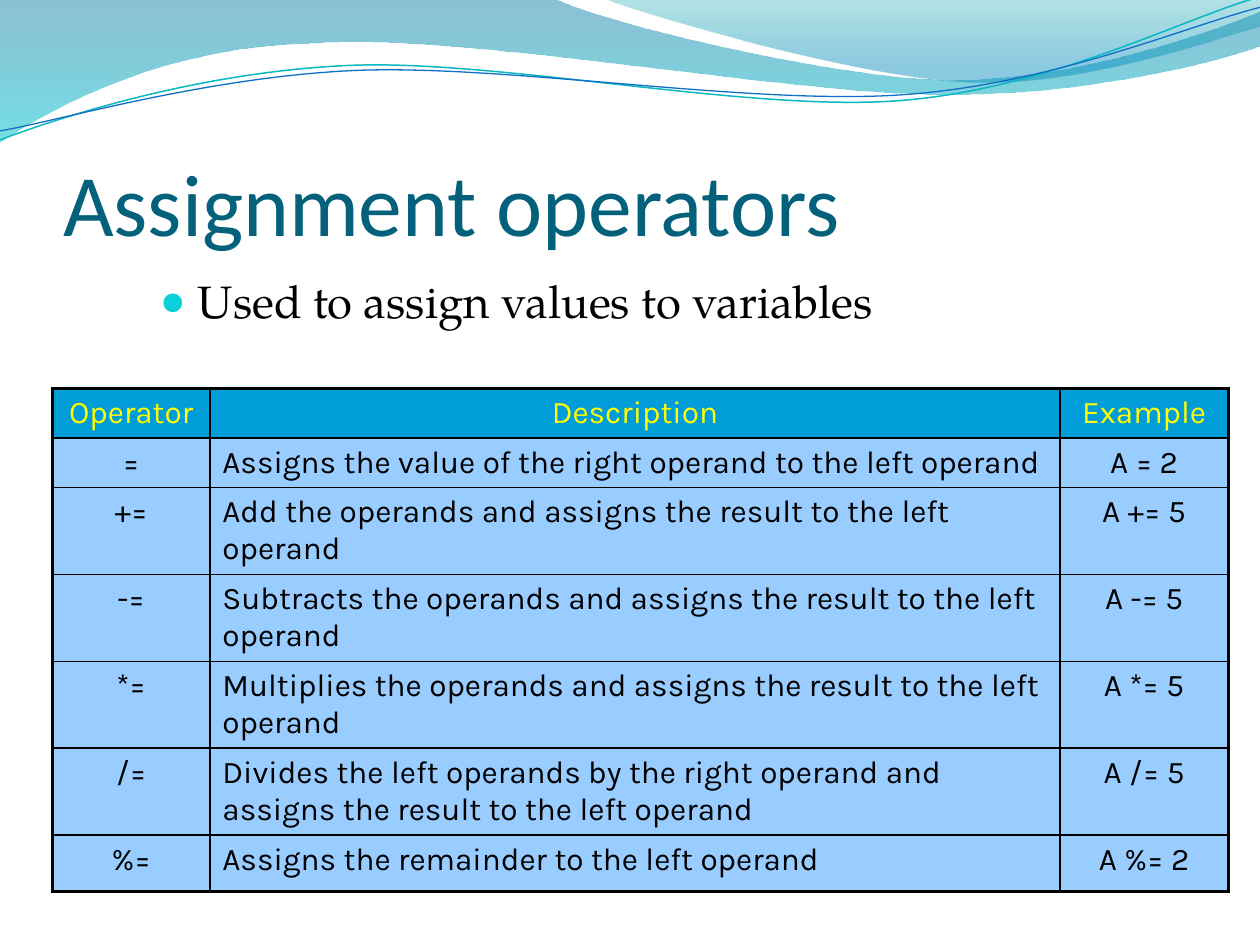
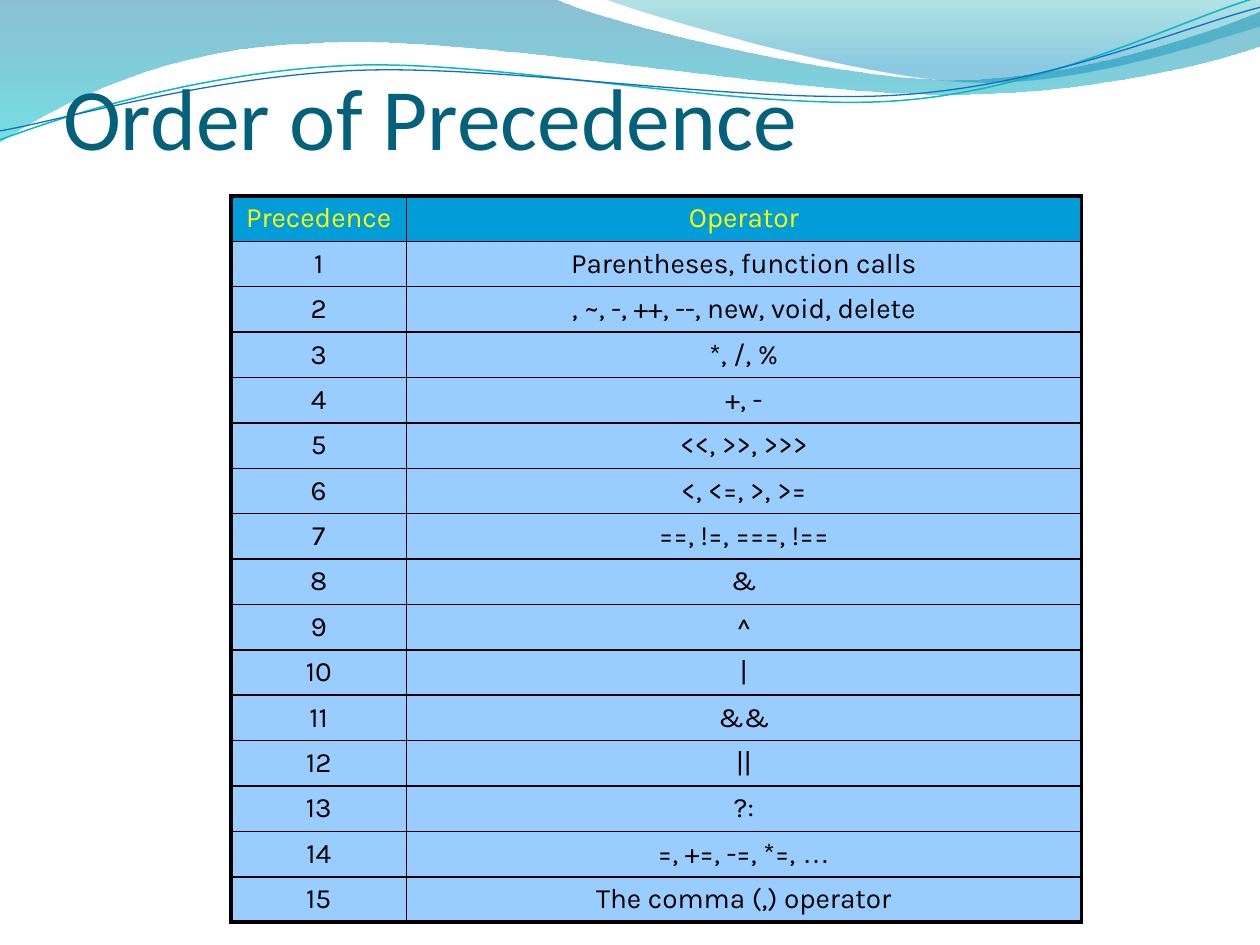
import math

import pptx
import pptx.dml.color
import pptx.enum.text
import pptx.oxml
import pptx.oxml.ns
import pptx.util
from pptx.util import Cm, Pt

RGBColor = pptx.dml.color.RGBColor
PP_ALIGN = pptx.enum.text.PP_ALIGN
qn = pptx.oxml.ns.qn
NAMESPACE = pptx.oxml.ns.nsdecls("a")

# Shared colours and fonts
BLACK = RGBColor(0x00, 0x00, 0x00)
TITLE_TEAL = RGBColor(0x04, 0x61, 0x7B)
BULLET_CYAN = RGBColor(0x0B, 0xD0, 0xD9)
HEADER_BLUE = RGBColor(0x00, 0x9D, 0xD9)
HEADER_YELLOW = RGBColor(0xFF, 0xFF, 0x00)
CELL_BLUE = RGBColor(0x99, 0xCC, 0xFF)
WAVE_BLUE = RGBColor(0x00, 0x74, 0xA1)
WAVE_CYAN = RGBColor(0x00, 0xC6, 0xCF)
CREST_TEAL = RGBColor(0x00, 0xA1, 0xA9)
CREST_BLUE = RGBColor(0x00, 0x8B, 0xBF)
LINE_TEAL = RGBColor(0x0A, 0xB8, 0xBF)
LINE_BLUE = RGBColor(0x0F, 0x6F, 0xC6)

TITLE_FONT = "Calibri"
BODY_FONT = "TeX Gyre Pagella"
TABLE_FONT = "Karla"
SYMBOL_FONT = "Arial"

OUTER_BORDER = 2.25
INNER_BORDER = 1
WAVE_LINE_ROTATION = -2.7

# Outlines in cm: one point is a straight step, three points are a Bézier curve
WAVE = [[(0, 0)], [(11.18, -0.03)],
        [(12.09, 0.43), (16.87, 1.6), (19.25, 1.6)],
        [(21.67, 1.6), (24.33, 0.66), (25.4, 0.23)],
        [(25.43, 0.91)],
        [(24.97, 1.12), (22.1, 1.93), (18.95, 1.9)],
        [(15.8, 1.9), (9.7, 0.71), (6.53, 0.86)],
        [(3.28, 0.91), (1.17, 2.11), (-0.03, 2.87)],
        [(0, 0)]]
CREST = [[(12.17, -0.03)],
         [(12.93, 0.28), (17.32, 1.57), (19.53, 1.65)],
         [(21.74, 1.75), (24.41, 0.81), (25.4, 0.53)],
         [(25.4, 0)],
         [(12.17, -0.03)]]
TEAL_LINE = [[(0, 2.82)],
             [(1.22, 2.36), (4.01, 1.45), (7.04, 1.32)],
             [(10.03, 1.19), (15.06, 2.26), (18.11, 2.03)],
             [(21.16, 1.8), (23.83, 0.38), (25.35, -0.05)]]
BLUE_LINE = [[(0, 2.64)],
             [(1.19, 2.44), (4.17, 1.55), (7.19, 1.42)],
             [(10.24, 1.3), (15.16, 2.13), (18.21, 1.91)],
             [(21.23, 1.7), (23.9, 0.53), (25.4, 0.15)]]

ASSIGNMENT_ROWS = [
    ("Operator", "Description", "Example"),
    ("=", "Assigns the value of the right operand to the left operand", "A = 2"),
    ("+=", "Add the operands and assigns the result to the left operand", "A += 5"),
    ("-=", "Subtracts the operands and assigns the result to the left operand", "A -= 5"),
    ("*=", "Multiplies the operands and assigns the result to the left operand", "A *= 5"),
    ("/=", "Divides the left operands by the right operand and assigns the result "
           "to the left operand", "A /= 5"),
    ("%=", "Assigns the remainder to the left operand", "A %= 2"),
]
PRECEDENCE_OPERATORS = [
    "Parentheses, function calls", ", ~, -, ++, --, new, void, delete", "*, /, %",
    "+, -", "<<, >>, >>>", "<, <=, >, >=", "==, !=, ===, !==", "&", "^", "|", "&&",
    "||", "?:", "=, +=, -=, *=, …", "The comma (,) operator",
]


def style_font(font, name, size, color):
    font.name = name
    font.size = Pt(size)
    font.bold = False
    font.color.rgb = color


def place(shape, left, top, width, height):
    shape.left, shape.top = Cm(left), Cm(top)
    shape.width, shape.height = Cm(width), Cm(height)


# Wave header
def turn(outline, degrees):
    """Turn an outline clockwise about the middle between its two ends."""
    (x0, y0), (x1, y1) = outline[0][-1], outline[-1][-1]
    middle_x, middle_y = (x0 + x1) / 2, (y0 + y1) / 2
    cosine, sine = math.cos(math.radians(degrees)), math.sin(math.radians(degrees))
    return [[(middle_x + (x - middle_x) * cosine - (y - middle_y) * sine,
              middle_y + (x - middle_x) * sine + (y - middle_y) * cosine)
             for x, y in segment] for segment in outline]


def add_outline(slide, outline, close):
    """Build a freeform through the end points, then bend its curved steps."""
    segments = [[(Cm(x), Cm(y)) for x, y in segment] for segment in outline]
    ends = [segment[-1] for segment in segments]
    builder = slide.shapes.build_freeform(*ends[0], scale=1.0)
    builder.add_line_segments(ends[1:], close=close)
    shape = builder.convert_to_shape()
    shape.shadow.inherit = False
    steps = list(shape.element.iter(qn("a:lnTo")))
    for step, segment in zip(steps, segments[1:]):
        if len(segment) == 3:
            points = "".join(f'<a:pt x="{x - shape.left}" y="{y - shape.top}"/>'
                             for x, y in segment)
            curve = pptx.oxml.parse_xml(
                f"<a:cubicBezTo {NAMESPACE}>{points}</a:cubicBezTo>")
            step.getparent().replace(step, curve)
    return shape


def add_band(slide, outline, stops):
    """Add a closed wave; each stop is position, colour, opacity in percent."""
    shape = add_outline(slide, outline, close=True)
    shape.line.fill.background()
    shape.fill.gradient()
    shape.fill.gradient_angle = 270
    for gradient_stop, (position, color, _) in zip(shape.fill.gradient_stops, stops):
        gradient_stop.position = position
        gradient_stop.color.rgb = color
    for color_element, (_, _, opacity) in zip(shape.element.iter(qn("a:srgbClr")), stops):
        color_element.append(pptx.oxml.parse_xml(
            f'<a:alpha {NAMESPACE} val="{opacity * 1000}"/>'))
    return shape


def add_wave_line(slide, outline, color, width):
    shape = add_outline(slide, turn(outline, -WAVE_LINE_ROTATION), close=False)
    shape.rotation = WAVE_LINE_ROTATION
    shape.fill.background()
    shape.line.color.rgb = color
    shape.line.width = Pt(width)
    return shape


def put_waves_on_master(presentation, slide):
    """Draw the header on a slide, then move it behind everything on the master."""
    wave = add_band(slide, WAVE, [(0, WAVE_BLUE, 45), (1, WAVE_CYAN, 55)])
    crest = add_band(slide, CREST, [(0, CREST_TEAL, 30), (0.8, CREST_BLUE, 45)])
    lines = slide.shapes.add_group_shape([
        add_wave_line(slide, TEAL_LINE, LINE_TEAL, 0.85),
        add_wave_line(slide, BLUE_LINE, LINE_BLUE, 0.75),
    ])
    master_tree = presentation.slide_master.shapes.element
    for index, shape in enumerate((wave, crest, lines), start=2):
        master_tree.insert(index, shape.element)


# Titles and bullets
def set_title(slide, text, top, height):
    title = slide.shapes.title
    place(title, 1.27, top, 22.86, height)
    text_frame = title.text_frame
    text_frame.text = text
    text_frame.auto_size = pptx.enum.text.MSO_AUTO_SIZE.NONE
    text_frame.vertical_anchor = pptx.enum.text.MSO_ANCHOR.BOTTOM
    text_frame.margin_left = text_frame.margin_right = text_frame.margin_bottom = 0
    text_frame.margin_top = Cm(0.13)
    paragraph = text_frame.paragraphs[0]
    paragraph.alignment = PP_ALIGN.LEFT
    style_font(paragraph.runs[0].font, TITLE_FONT, 50, TITLE_TEAL)


def add_space_before(paragraph, percent):
    paragraph._p.get_or_add_pPr().append(pptx.oxml.parse_xml(
        f'<a:spcBef {NAMESPACE}><a:spcPct val="{percent * 1000}"/></a:spcBef>'))


def set_bullet(body, text):
    place(body, 2.97, 5.5, 20.96, 1.47)
    body.text_frame.text = text
    body.text_frame.auto_size = pptx.enum.text.MSO_AUTO_SIZE.NONE
    paragraph = body.text_frame.paragraphs[0]
    paragraph.line_spacing = 0.9
    add_space_before(paragraph, 20)
    style_font(paragraph.runs[0].font, BODY_FONT, 26, BLACK)
    properties = paragraph._p.get_or_add_pPr()
    properties.set("marL", str(Cm(0.76)))
    properties.set("indent", str(-Cm(0.76)))
    for bullet_xml in (f'<a:buClr {NAMESPACE}><a:srgbClr val="{BULLET_CYAN}"/></a:buClr>',
                       f'<a:buSzPct {NAMESPACE} val="95000"/>',
                       f'<a:buFont {NAMESPACE} typeface="{SYMBOL_FONT}"/>',
                       f'<a:buChar {NAMESPACE} char="●"/>'):
        properties.append(pptx.oxml.parse_xml(bullet_xml))


# Tables
def set_borders(cell, widths):
    """Draw black borders; widths are left, right, top, bottom in points."""
    properties = cell._tc.get_or_add_tcPr()
    for index, (side, width) in enumerate(zip("LRTB", widths)):
        properties.insert(index, pptx.oxml.parse_xml(
            f'<a:ln{side} {NAMESPACE} w="{Pt(width)}">'
            f'<a:solidFill><a:srgbClr val="{BLACK}"/></a:solidFill></a:ln{side}>'))


def fill_cell(cell, text, size, is_header, alignment):
    cell.fill.solid()
    cell.fill.fore_color.rgb = HEADER_BLUE if is_header else CELL_BLUE
    paragraph = cell.text_frame.paragraphs[0]
    paragraph.alignment = alignment
    add_space_before(paragraph, 20)
    for piece in filter(None, text.partition("…")):
        run = paragraph.add_run()
        run.text = piece
        style_font(run.font, SYMBOL_FONT if piece == "…" else TABLE_FONT, size,
                   HEADER_YELLOW if is_header else BLACK)


def add_operator_table(slide, rows, left, top, column_widths, row_heights, size,
                       left_aligned_column=None):
    table = slide.shapes.add_table(
        len(rows), len(column_widths), Cm(left), Cm(top),
        Cm(sum(column_widths)), Cm(sum(row_heights))).table
    table.horz_banding = False
    for column, width in zip(table.columns, column_widths):
        column.width = Cm(width)
    for row, height in zip(table.rows, row_heights):
        row.height = Cm(height)
    last_row, last_column = len(rows) - 1, len(column_widths) - 1
    for row_index, texts in enumerate(rows):
        for column_index, text in enumerate(texts):
            cell = table.cell(row_index, column_index)
            is_header = row_index == 0
            left_aligned = column_index == left_aligned_column and not is_header
            fill_cell(cell, text, size, is_header,
                      PP_ALIGN.LEFT if left_aligned else PP_ALIGN.CENTER)
            on_edges = (column_index == 0, column_index == last_column,
                        is_header, row_index == last_row)
            set_borders(cell, [OUTER_BORDER if on_edge else INNER_BORDER
                               for on_edge in on_edges])


def main():
    presentation = pptx.Presentation()
    presentation.slide_width, presentation.slide_height = Cm(25.4), Cm(19.05)
    content_layout, title_layout = (presentation.slide_layouts[index] for index in (1, 5))

    # Assignment operators
    slide = presentation.slides.add_slide(content_layout)
    put_waves_on_master(presentation, slide)
    set_title(slide, "Assignment operators", 1.95, 3.17)
    set_bullet(slide.placeholders[1], "Used to assign values to variables")
    add_operator_table(slide, ASSIGNMENT_ROWS, 1.06, 7.83, [3.17, 17.14, 3.39],
                       [1, 1, 1.75, 1.75, 1.75, 1.75, 1.14], 18, left_aligned_column=1)

    # Order of precedence
    slide = presentation.slides.add_slide(title_layout)
    set_title(slide, "Order of Precedence", 1.06, 2.33)
    precedence_rows = [("Precedence", "Operator")]
    precedence_rows += [(str(rank), operators)
                        for rank, operators in enumerate(PRECEDENCE_OPERATORS, start=1)]
    add_operator_table(slide, precedence_rows, 4.66, 3.95, [3.53, 13.61],
                       [0.91] * len(precedence_rows), 16)

    presentation.save("out.pptx")


if __name__ == "__main__":
    main()
